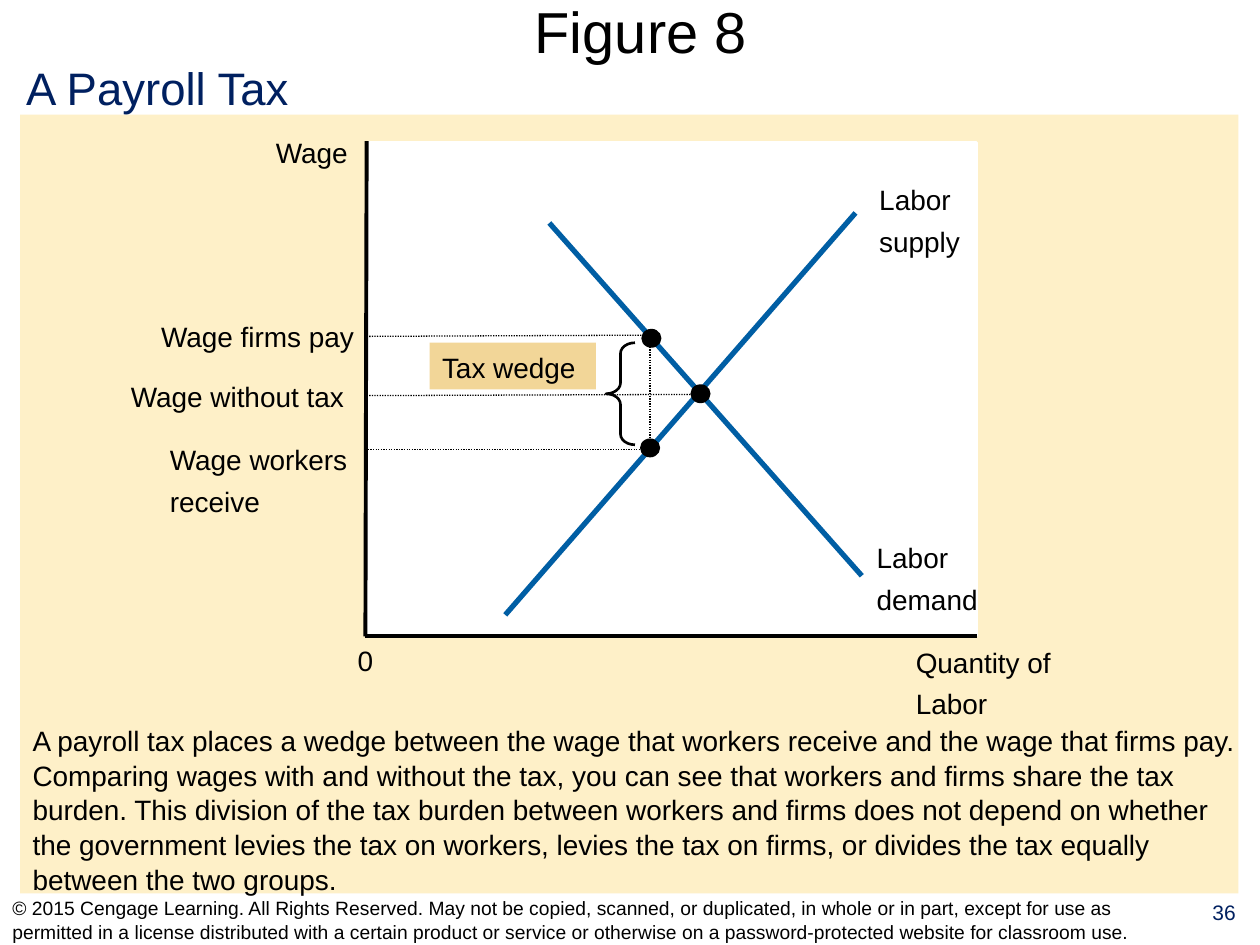
import pptx
import pptx.util
import pptx.dml.color
import pptx.enum.dml
import pptx.enum.shapes
import pptx.enum.text
import pptx.oxml.ns
import lxml.etree

RGB = pptx.dml.color.RGBColor
BLACK = RGB(0, 0, 0)
WHITE = RGB(255, 255, 255)
NAVY = RGB(0x00, 0x20, 0x60)
BLUE = RGB(0x00, 0x5E, 0xA4)
CREAM = RGB(0xFE, 0xF0, 0xC8)
TAN = RGB(0xF2, 0xD6, 0x98)

SCALE = 9144  # EMU in one px, with 100 px to the inch
FONT = "Arial"
SHAPE = pptx.enum.shapes.MSO_SHAPE
ALIGN = pptx.enum.text.PP_ALIGN
ANCHOR = pptx.enum.text.MSO_ANCHOR
FIT = pptx.enum.text.MSO_AUTO_SIZE
DOTTED = pptx.enum.dml.MSO_LINE.ROUND_DOT


def emu(*px):
    return [pptx.util.Emu(n * SCALE) for n in px]


class Sketch:
    """Draws styled elements on the current slide."""

    def __init__(self, slide):
        self.slide = slide
        self.shapes = slide.shapes

    def fill_in(self, frame, lines, size=16, color=BLACK, align=ALIGN.LEFT, gap=4, lead=1.04):
        """Put each line in its own paragraph of the frame."""
        for i, line in enumerate(lines):
            para = frame.paragraphs[0] if i == 0 else frame.add_paragraph()
            para.alignment = align
            para.line_spacing = lead
            para.space_before = pptx.util.Pt(gap if i else 0)
            run = para.add_run()
            run.text = line
            run.font.name = FONT
            run.font.size = pptx.util.Pt(size)
            run.font.color.rgb = color

    def title(self, box, line, size):
        head = self.shapes.title
        head.left, head.top, head.width, head.height = emu(*box)
        frame = head.text_frame
        frame.vertical_anchor = ANCHOR.MIDDLE
        frame.auto_size = FIT.NONE
        self.fill_in(frame, [line], size, align=ALIGN.CENTER, lead=1.0)

    def text(self, box, *lines, wrap=True, grow=True, anchor=ANCHOR.TOP, **style):
        frame = self.shapes.add_textbox(*emu(*box)).text_frame
        frame.word_wrap = wrap
        frame.auto_size = FIT.SHAPE_TO_FIT_TEXT if grow else FIT.NONE
        frame.vertical_anchor = anchor
        self.fill_in(frame, lines, **style)

    def shape(self, kind, box, fill, edge=None):
        form = self.shapes.add_shape(kind, *emu(*box))
        form.shadow.inherit = False
        form.fill.solid()
        form.fill.fore_color.rgb = fill
        if edge is None:
            form.line.fill.background()
        else:
            form.line.color.rgb = edge
            form.line.width = pptx.util.Pt(2)
        return form

    def panel(self, box, fill, edge=None):
        return self.shape(SHAPE.RECTANGLE, box, fill, edge)

    def badge(self, box, line, fill):
        frame = self.panel(box, fill).text_frame
        frame.vertical_anchor = ANCHOR.TOP
        frame.word_wrap = True
        self.fill_in(frame, [line])

    def line(self, start, end, color=BLACK, width=2.25, dash=None):
        kind = pptx.enum.shapes.MSO_CONNECTOR.STRAIGHT
        link = self.shapes.add_connector(kind, *emu(*start, *end))
        link.line.color.rgb = color
        link.line.width = pptx.util.Pt(width)
        if dash is not None:
            link.line.dash_style = dash
        lxml.etree.SubElement(link._element.spPr, pptx.oxml.ns.qn("a:effectLst"))

    def guide(self, start, end):
        self.line(start, end, width=0.75, dash=DOTTED)

    def curve(self, start, end):
        self.line(start, end, BLUE, 3)

    def dot(self, left, top):
        self.shape(SHAPE.OVAL, (left, top, 16, 15), BLACK)

    def brace(self, box):
        form = self.shapes.add_shape(SHAPE.LEFT_BRACE, *emu(*box))
        form.shadow.inherit = False
        form.fill.background()
        form.line.color.rgb = BLACK
        form.line.width = pptx.util.Pt(1.5)
        form.adjustments[0] = 0.37


def main():
    deck = pptx.Presentation()
    deck.slide_width, deck.slide_height = emu(1000, 750)
    art = Sketch(deck.slides.add_slide(deck.slide_layouts[5]))

    art.panel((16, 91, 967, 618), CREAM)
    art.title((35, 0, 947, 49), "Figure 8", 33)
    art.text((11, 41, 235, 54), "A Payroll Tax", wrap=False, size=26, color=NAVY)

    # Axes
    art.panel((291, 113, 484, 391), WHITE, WHITE)
    art.line((291, 112), (290, 505))
    art.line((290, 505), (775, 505))
    art.text((209, 102, 81, 37), "Wage")
    art.text((717, 506, 136, 69), "Quantity of", "Labor")
    art.text((274, 505, 32, 37), "0", wrap=False)

    # Supply and demand
    art.curve((436, 177), (684, 457))
    art.text((686, 423, 100, 69), "Labor", "demand", wrap=False)
    art.guide((516, 269), (516, 356))
    art.curve((401, 488), (679, 169))
    art.text((688, 139, 84, 69), "Labor", "supply", wrap=False)

    # Wage levels
    levels = [
        ((291, 267), (513, 266), (118, 248, 174, 37), ["Wage firms pay"]),
        ((291, 314), (558, 313), (94, 295, 190, 37), ["Wage without tax"]),
        ((292, 357), (515, 357), (125, 345, 161, 69), ["Wage workers", "receive"]),
    ]
    for start, end, box, lines in levels:
        art.guide(start, end)
        art.text(box, *lines, wrap=False)

    art.badge((341, 272, 132, 37), "Tax wedge", TAN)
    art.brace((481, 272, 23, 81))
    for spot in [(548, 305), (509, 261), (508, 348)]:
        art.dot(*spot)

    art.text(
        (16, 568, 978, 144),
        "A payroll tax places a wedge between the wage that workers receive and the wage "
        "that firms pay. Comparing wages with and without the tax, you can see that workers "
        "and firms share the tax burden. This division of the tax burden between workers and "
        "firms does not depend on whether the government levies the tax on workers, levies "
        "the tax on firms, or divides the tax equally between the two groups.",
    )
    art.text(
        (0, 710, 942, 40),
        "© 2015 Cengage Learning. All Rights Reserved. May not be copied, scanned, or "
        "duplicated, in whole or in part, except for use as permitted in a license "
        "distributed with a certain product or service or otherwise on a "
        "password-protected website for classroom use.",
        grow=False, anchor=ANCHOR.MIDDLE, size=11,
    )
    art.text((943, 708, 57, 41), "36", grow=False, size=12, color=NAVY, align=ALIGN.CENTER)

    deck.save("out.pptx")


if __name__ == "__main__":
    main()
